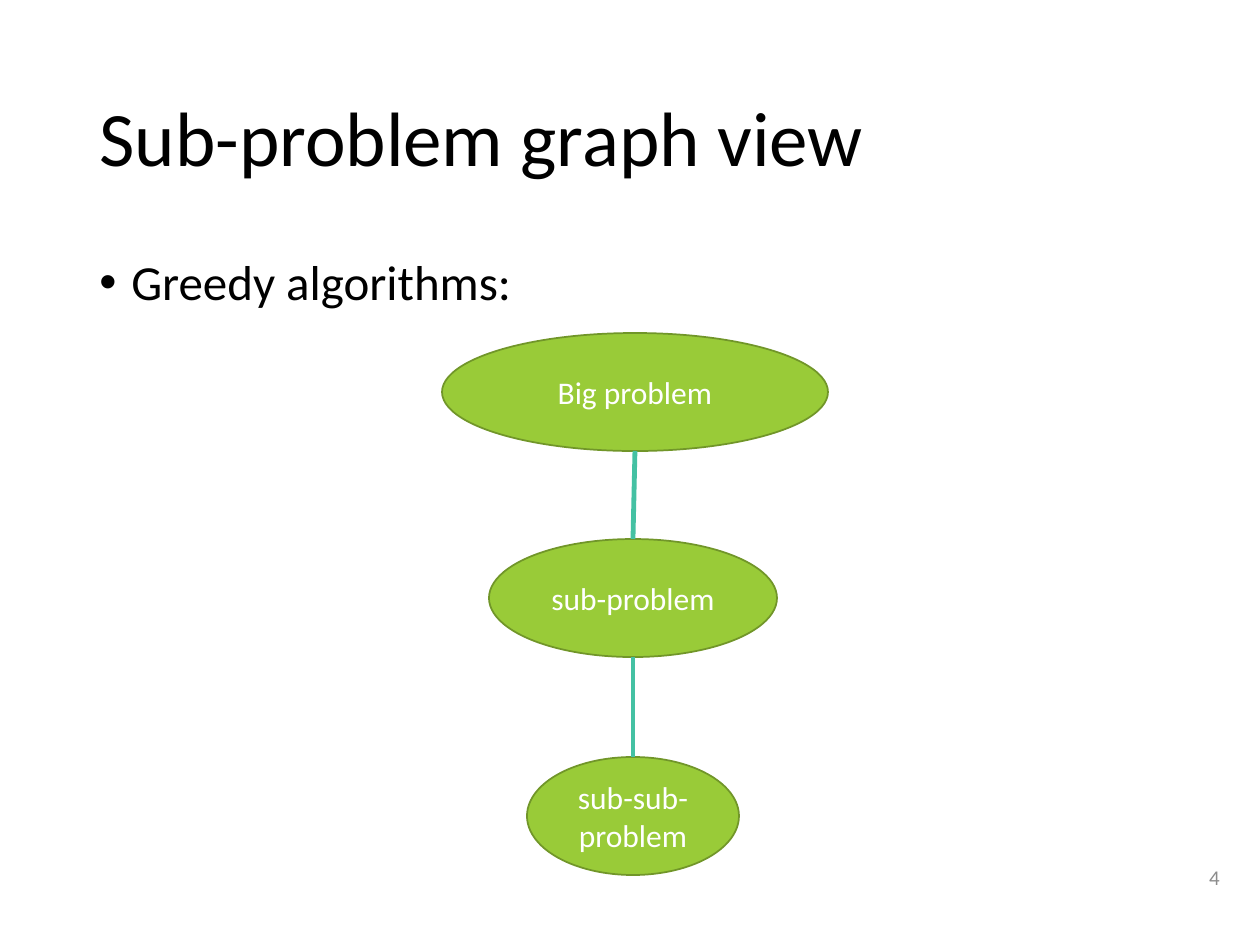
from lxml import etree
from pptx import Presentation
from pptx import util as u
from pptx.dml.color import RGBColor
from pptx.enum import shapes, text
from pptx.oxml.ns import qn

SCALE = 914400 / 126  # EMU per px
FONT = "Calibri"
COLORS = {
    "ink": "000000",
    "white": "FFFFFF",
    "green": "99CB38",
    "edge": "719629",
    "teal": "44C1A3",
    "gray": "8C8C8C",
}


def px(n):
    return u.Emu(round(n * SCALE))


def rgb(name):
    return RGBColor.from_string(COLORS[name])


def style(para, size, color, align):
    para.alignment = align
    font = para.font
    font.name, font.size = FONT, u.Pt(size)
    font.color.rgb = rgb(color)


def add_bullet(para, indent):
    props = para._p.get_or_add_pPr()
    props.set("marL", str(px(indent)))
    props.set("indent", str(-px(indent)))
    font = etree.SubElement(props, qn("a:buFont"))
    font.set("typeface", "Arial")
    etree.SubElement(props, qn("a:buChar")).set("char", "•")


def add_text(slide, box, words, size, color="ink", align=text.PP_ALIGN.LEFT,
             anchor=text.MSO_ANCHOR.MIDDLE, spacing=None, indent=0):
    frame = slide.shapes.add_textbox(*map(px, box)).text_frame
    frame.word_wrap = True
    frame.vertical_anchor = anchor
    para = frame.paragraphs[0]
    para.text = words
    if spacing:
        para.line_spacing = spacing
    if indent:
        add_bullet(para, indent)
    style(para, size, color, align)


def add_node(slide, box, words):
    node = slide.shapes.add_shape(shapes.MSO_SHAPE.OVAL, *map(px, box))
    node.shadow.inherit = False
    node.fill.solid()
    node.fill.fore_color.rgb = rgb("green")
    node.line.color.rgb = rgb("edge")
    node.line.width = u.Pt(1)
    frame = node.text_frame
    frame.word_wrap = True
    frame.vertical_anchor = text.MSO_ANCHOR.MIDDLE
    frame.text = words
    style(frame.paragraphs[0], 18, "white", text.PP_ALIGN.CENTER)
    return node


def add_link(slide, upper, lower):
    """Join the bottom of one node to the top of the next."""
    link = slide.shapes.add_connector(
        shapes.MSO_CONNECTOR.STRAIGHT,
        upper.left + upper.width // 2, upper.top + upper.height,
        lower.left + lower.width // 2, lower.top)
    link.line.color.rgb = rgb("teal")
    link.line.width = u.Pt(2.75)
    etree.SubElement(link._element.spPr, qn("a:effectLst"))


def main():
    deck = Presentation()
    deck.slide_width, deck.slide_height = px(1260), px(945)
    slide = deck.slides.add_slide(deck.slide_layouts[6])

    # Title and bullet
    add_text(slide, (87, 50, 1086, 183), "Sub-problem graph view", 44,
             spacing=0.9)
    add_text(slide, (87, 252, 1086, 600), "Greedy algorithms:", 28,
             anchor=text.MSO_ANCHOR.TOP, spacing=0.9, indent=32)

    # Chain of problems, from big to small
    chain = [
        ((442, 333, 386, 118), "Big problem"),
        ((489, 539, 288, 118), "sub-problem"),
        ((527, 757, 212, 118), "sub-sub-problem"),
    ]
    nodes = [add_node(slide, box, words) for box, words in chain]
    for upper, lower in zip(nodes, nodes[1:]):
        add_link(slide, upper, lower)

    # Page number
    add_text(slide, (949, 852, 283, 50), "4", 12, "gray",
             text.PP_ALIGN.RIGHT)

    deck.save("out.pptx")


if __name__ == "__main__":
    main()
